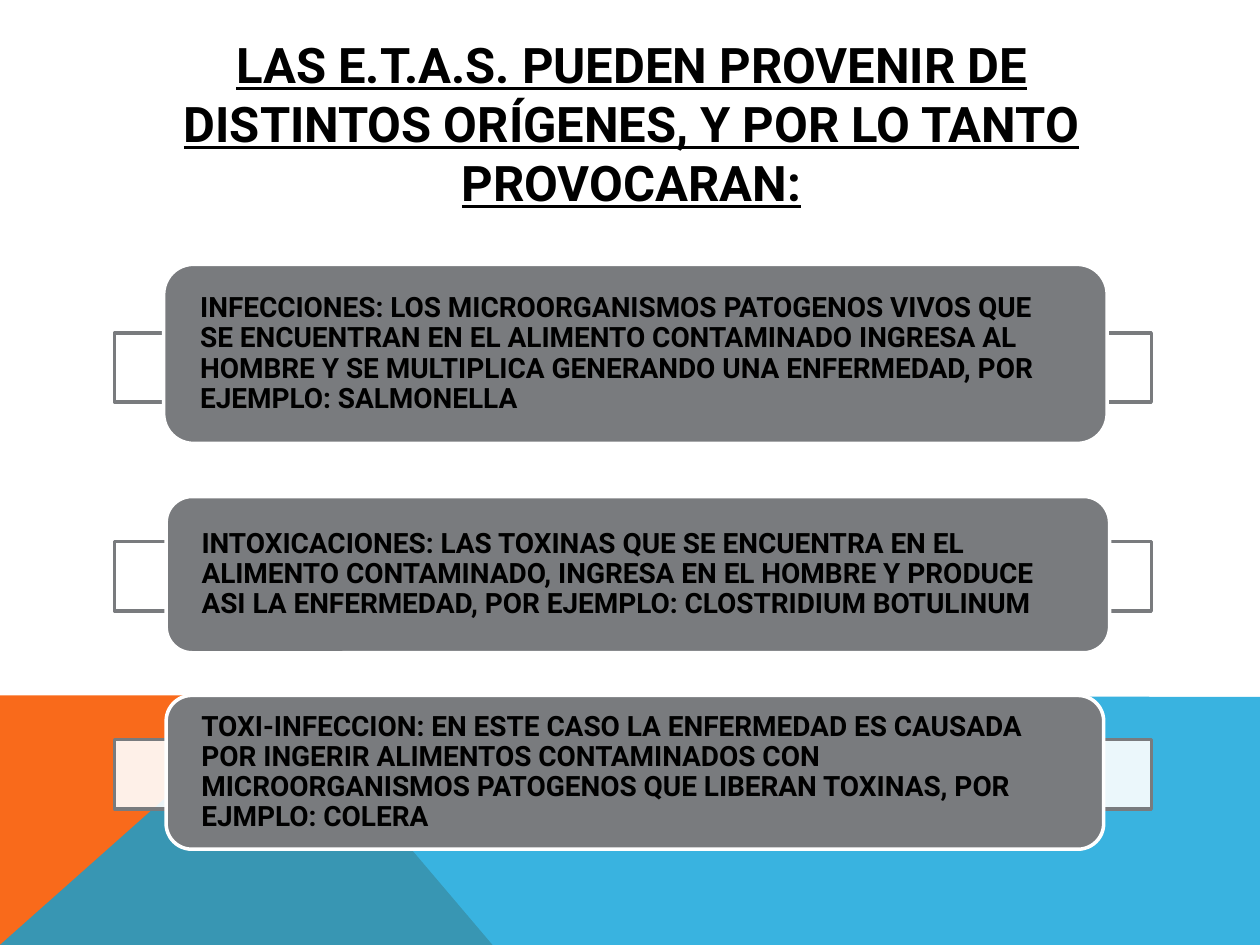
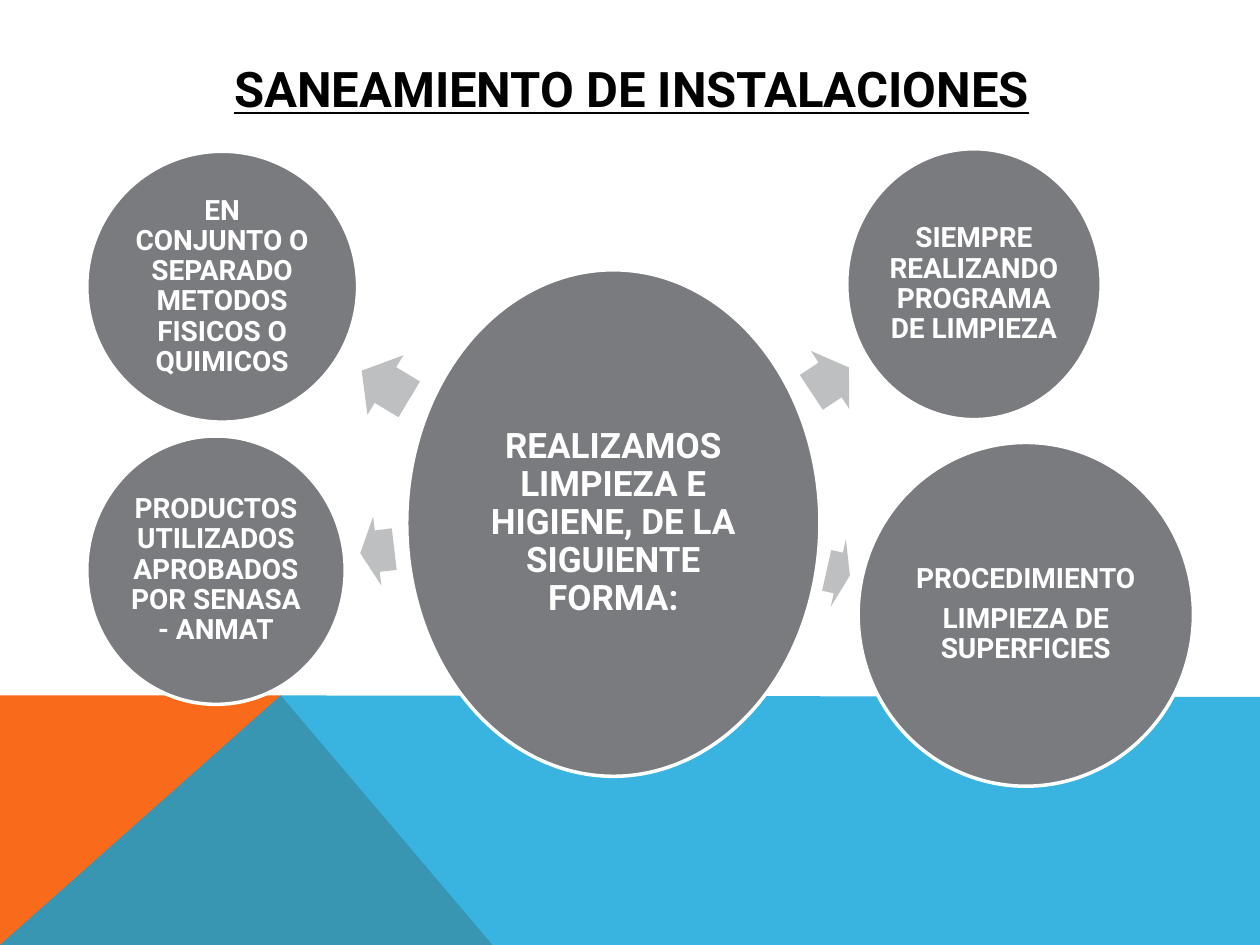
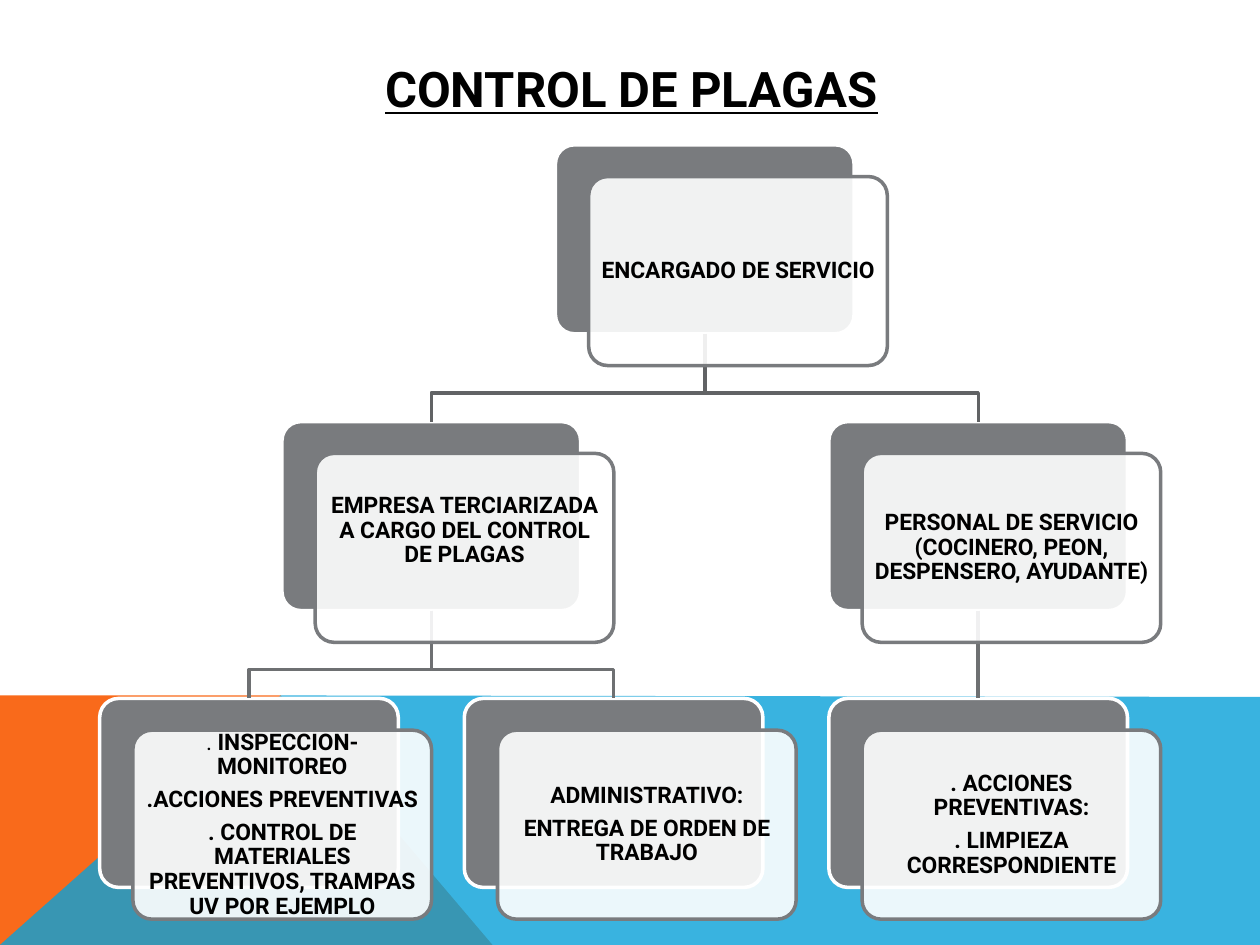
"""Build three slides on food-borne illness, sanitation and pest control."""
from dataclasses import dataclass
from typing import Any

from lxml import etree
from pptx import Presentation
from pptx import util as u
from pptx.dml import color
from pptx.enum import shapes, text
from pptx.oxml import ns

COLORS = {
    "black": "000000",
    "white": "FFFFFF",
    "gray": "797B7E",
    "arrow": "BEBFC0",
    "upper_link": "616365",
    "lower_link": "6E7072",
    "orange": "F96A1B",
    "blue": "08A1D9",
}
FONT = "Roboto"
KIND = shapes.MSO_SHAPE
CENTER = text.PP_ALIGN.CENTER
LEFT = text.PP_ALIGN.LEFT


@dataclass(frozen=True)
class Frame:
    left: float
    top: float
    width: float
    height: float

    def lengths(self) -> list[u.Length]:
        return [u.Cm(side) for side in (self.left, self.top, self.width, self.height)]


@dataclass(frozen=True)
class Bubble:
    frame: Frame
    lines: tuple[str, ...]
    size: int = 16


@dataclass(frozen=True)
class Arrow:
    frame: Frame
    angle: float


@dataclass(frozen=True)
class Origin:
    bracket_top: float
    frame: Frame
    line: str


@dataclass(frozen=True)
class Card:
    column: float
    row: int
    lines: tuple[str, ...]
    parent: int | None = None
    bottom_inset: float = 0.13

    def frame(self) -> Frame:
        return Frame(2.01 + 7.35 * self.column, 2.92 + 5.58 * self.row, 6.02, 3.81)


ORIGINS = (
    Origin(6.71, Frame(3.3, 5.33, 19.02, 3.61),
           "INFECCIONES: LOS MICROORGANISMOS PATOGENOS VIVOS QUE SE ENCUENTRAN EN EL ALIMENTO "
           "CONTAMINADO INGRESA AL HOMBRE Y SE MULTIPLICA GENERANDO UNA ENFERMEDAD, POR EJEMPLO: "
           "SALMONELLA"),
    Origin(10.92, Frame(3.35, 10.01, 19.02, 3.15),
           "INTOXICACIONES: LAS TOXINAS QUE SE ENCUENTRA EN EL ALIMENTO CONTAMINADO, INGRESA EN EL "
           "HOMBRE Y PRODUCE ASI LA ENFERMEDAD, POR EJEMPLO: CLOSTRIDIUM BOTULINUM"),
    Origin(14.91, Frame(3.35, 14.02, 18.9, 3.1),
           "TOXI-INFECCION: EN ESTE CASO LA ENFERMEDAD ES CAUSADA POR INGERIR ALIMENTOS "
           "CONTAMINADOS CON MICROORGANISMOS PATOGENOS QUE LIBERAN TOXINAS, POR EJMPLO: COLERA"),
)

BUBBLES = (
    Bubble(Frame(8.2, 5.44, 8.33, 10.21),
           ("REALIZAMOS LIMPIEZA E HIGIENE, DE LA SIGUIENTE FORMA:",), 20),
    Bubble(Frame(17.07, 3, 5.13, 5.46), ("SIEMPRE REALIZANDO PROGRAMA DE LIMPIEZA",)),
    Bubble(Frame(17.3, 8.92, 6.76, 6.93), ("PROCEDIMIENTO", "LIMPIEZA DE SUPERFICIES")),
    Bubble(Frame(1.75, 8.79, 5.21, 5.41),
           ("PRODUCTOS UTILIZADOS APROBADOS POR SENASA - ANMAT",)),
    Bubble(Frame(1.75, 3.05, 5.46, 5.46),
           ("EN CONJUNTO O SEPARADO METODOS FISICOS O QUIMICOS",)),
)

ARROWS = (
    Arrow(Frame(16.28, 6.96, 0.91, 1.4), 326.5),
    Arrow(Frame(16.66, 10.85, 0.48, 1.4), 12.6),
    Arrow(Frame(7.26, 10.41, 0.69, 1.4), 173.2),
    Arrow(Frame(7.21, 7.06, 1.12, 1.4), 211.1),
)

CARDS = (
    Card(1.25, 0, ("ENCARGADO DE SERVICIO",)),
    Card(0.5, 1, ("EMPRESA TERCIARIZADA A CARGO DEL CONTROL DE PLAGAS",), 0, 0.81),
    Card(2, 1, ("PERSONAL DE SERVICIO (COCINERO, PEON, DESPENSERO, AYUDANTE)",), 0),
    Card(0, 2, (". |INSPECCION-MONITOREO", ".ACCIONES PREVENTIVAS",
                ". CONTROL DE MATERIALES PREVENTIVOS, TRAMPAS UV POR EJEMPLO"), 1),
    Card(1, 2, ("ADMINISTRATIVO:", "ENTREGA DE ORDEN DE TRABAJO"), 1),
    Card(2, 2, (". ACCIONES PREVENTIVAS:", ". LIMPIEZA CORRESPONDIENTE"), 2),
)


def rgb(name: str) -> color.RGBColor:
    return color.RGBColor.from_string(COLORS[name])


def paint(shape: Any, fill: str | None, line: str | None = None, opacity: int = 100) -> None:
    shape.shadow.inherit = False
    if fill:
        shape.fill.solid()
        shape.fill.fore_color.rgb = rgb(fill)
        if opacity < 100:
            shade = shape.element.spPr.find(ns.qn("a:solidFill"))[0]
            etree.SubElement(shade, ns.qn("a:alpha"), val=str(opacity * 1000))
    else:
        shape.fill.background()
    if line:
        shape.line.color.rgb = rgb(line)
        shape.line.width = u.Pt(2)
    else:
        shape.line.fill.background()


def add_box(page: Any, kind: Any, frame: Frame, fill: str,
            line: str | None = None, opacity: int = 100) -> Any:
    box = page.shapes.add_shape(kind, *frame.lengths())
    paint(box, fill, line, opacity)
    return box


def add_outline(page: Any, points: list[tuple[float, float]], closed: bool) -> Any:
    corners = [(u.Cm(x), u.Cm(y)) for x, y in points]
    builder = page.shapes.build_freeform(*corners[0])
    builder.add_line_segments(corners[1:], close=closed)
    return builder.convert_to_shape()


def style_span(span: Any, size: int, ink: str, bold: bool = True) -> None:
    span.font.name = FONT
    span.font.size = u.Pt(size)
    span.font.bold = bold
    span.font.color.rgb = rgb(ink)


def write_lines(box: Any, lines: tuple[str, ...], size: int, ink: str, align: Any,
                insets: tuple[float, float, float, float]) -> None:
    """Write bold paragraphs; a part before a bar stays light."""
    frame = box.text_frame
    frame.word_wrap = True
    frame.vertical_anchor = text.MSO_ANCHOR.MIDDLE
    (frame.margin_left, frame.margin_top,
     frame.margin_right, frame.margin_bottom) = [u.Cm(inset) for inset in insets]
    for index, line in enumerate(lines):
        para = frame.add_paragraph() if index else frame.paragraphs[0]
        first, *others = line.split("|")
        para.text = first
        for other in others:
            para.add_run().text = other
        para.alignment = align
        para.line_spacing = 0.9
        para.space_after = u.Pt(0.36 * size)
        for span in para.runs:
            style_span(span, size, ink, bold=span.text == line.split("|")[-1])


def add_page(deck: Any, title: str, title_height: float = 1.52) -> Any:
    page = deck.slides.add_slide(deck.slide_layouts[6])
    orange = add_outline(page, [(0, 19.05), (0, 14.02), (5.66, 14.02), (9.93, 19.05)], True)
    paint(orange, "orange")
    blue = add_outline(page, [(0, 19.05), (5.66, 14.02), (25.4, 14.05), (25.4, 19.05)], True)
    paint(blue, "blue", opacity=80)
    box = page.shapes.add_textbox(*Frame(2.29, 1.02, 20.88, title_height).lengths())
    box.text_frame.text = title
    box.text_frame.word_wrap = True
    box.text_frame.vertical_anchor = text.MSO_ANCHOR.MIDDLE
    para = box.text_frame.paragraphs[0]
    para.alignment = CENTER
    style_span(para.runs[0], 28, "black")
    para.runs[0].font.underline = True
    return page


def add_origins(page: Any) -> None:
    for origin in ORIGINS:
        add_box(page, KIND.RECTANGLE, Frame(2.31, origin.bracket_top, 20.9, 1.4),
                "white", "gray", 90)
        box = add_box(page, KIND.ROUNDED_RECTANGLE, origin.frame, "gray", "white")
        write_lines(box, (origin.line,), 16, "black", LEFT, (0.56, 0, 0.56, 0))


def add_bubbles(page: Any) -> None:
    for arrow in ARROWS:
        pointer = add_box(page, KIND.RIGHT_ARROW, arrow.frame, "arrow")
        pointer.adjustments[0] = 0.6
        pointer.adjustments[1] = 0.5
        pointer.rotation = arrow.angle
    for bubble in BUBBLES:
        box = add_box(page, KIND.OVAL, bubble.frame, "gray", "white")
        write_lines(box, bubble.lines, bubble.size, "white", CENTER, (0.06,) * 4)


def add_card_box(page: Any, frame: Frame, fill: str, line: str, opacity: int = 100) -> Any:
    box = add_box(page, KIND.ROUNDED_RECTANGLE, frame, fill, line, opacity)
    box.adjustments[0] = 0.1
    return box


def link_cards(page: Any, child: Card, backs: list[Any]) -> None:
    parent = CARDS[child.parent]
    above, below = parent.frame(), child.frame()
    ink = "lower_link" if parent.row else "upper_link"
    start_x, end_x = (frame.left + frame.width / 2 for frame in (above, below))
    start_y = above.top + above.height
    if parent.column == child.column:
        link = page.shapes.add_connector(
            shapes.MSO_CONNECTOR.STRAIGHT,
            u.Cm(start_x), u.Cm(start_y), u.Cm(end_x), u.Cm(below.top))
        link.begin_connect(backs[child.parent], 2)
        link.end_connect(backs[CARDS.index(child)], 0)
        link.line.color.rgb = rgb(ink)
        link.line.width = u.Pt(2)
        etree.SubElement(link.element.spPr, ns.qn("a:effectLst"))
    else:
        bend = start_y + 1.19
        link = add_outline(
            page, [(start_x, start_y), (start_x, bend), (end_x, bend), (end_x, below.top)], False)
        paint(link, None, ink)


def add_chart_of_cards(page: Any) -> None:
    backs = [add_card_box(page, card.frame(), "gray", "white") for card in CARDS]
    for card in CARDS[1:]:
        link_cards(page, card, backs)
    for card in CARDS:
        back = card.frame()
        front = Frame(back.left + 0.67, back.top + 0.64, back.width, back.height)
        box = add_card_box(page, front, "white", "gray", 90)
        write_lines(box, card.lines, 13, "black", CENTER, (0.13, 0.13, 0.13, card.bottom_inset))


def main() -> None:
    deck = Presentation()
    deck.slide_width, deck.slide_height = u.Cm(25.4), u.Cm(19.05)
    add_origins(add_page(
        deck, "LAS E.T.A.S. PUEDEN PROVENIR DE DISTINTOS ORÍGENES, Y POR LO TANTO PROVOCARAN:", 2.92))
    add_bubbles(add_page(deck, "SANEAMIENTO DE INSTALACIONES"))
    add_chart_of_cards(add_page(deck, "CONTROL DE PLAGAS"))
    deck.save("out.pptx")


if __name__ == "__main__":
    main()
